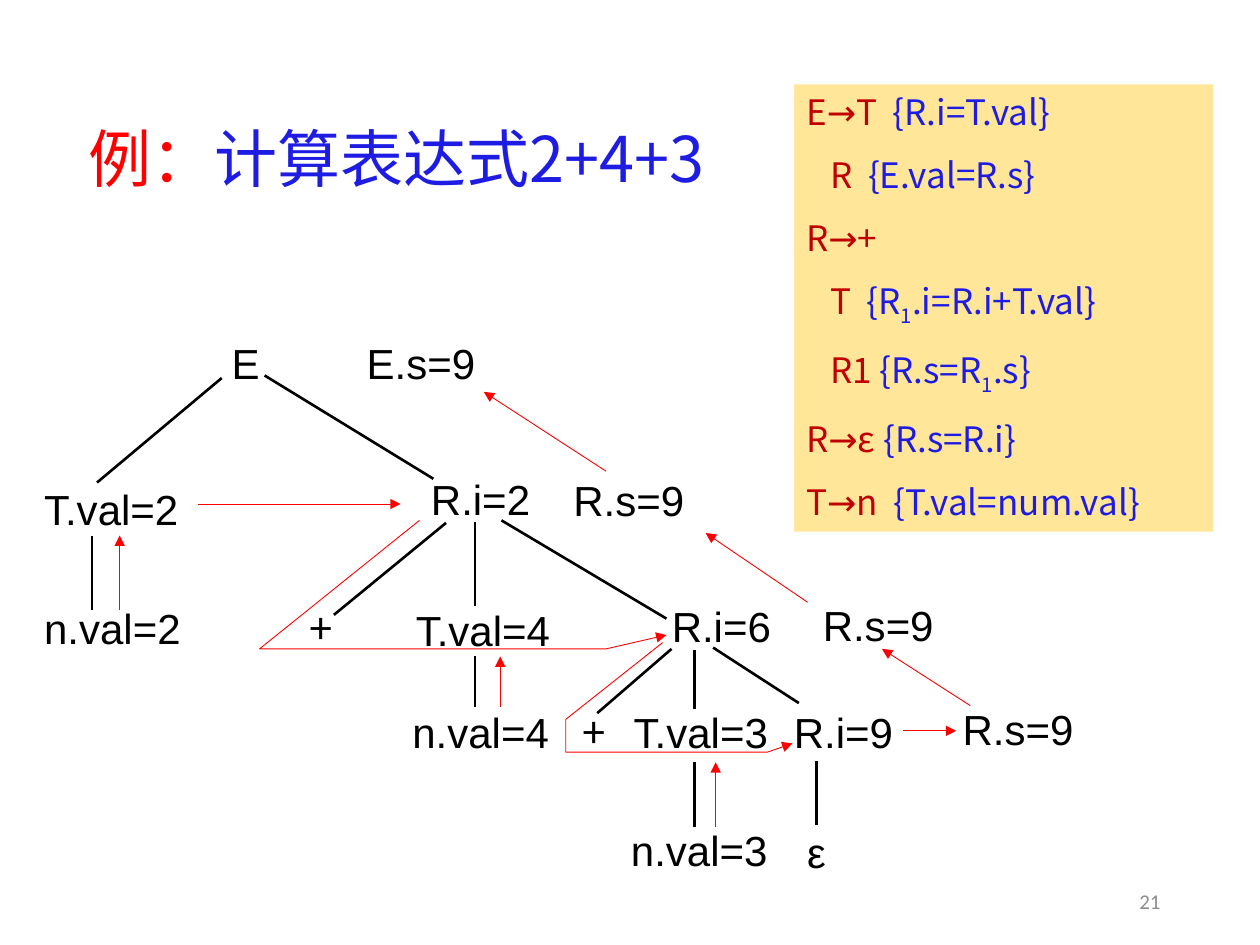
from dataclasses import dataclass

from pptx import Presentation
from pptx import util as u
from pptx.dml.color import RGBColor
from pptx.enum import shapes, text
from pptx.oxml.ns import qn
from lxml import etree

PX = 9144  # EMU in one px, 100 px to the inch


@dataclass(frozen=True)
class Theme:
    black: str = "000000"
    red: str = "FF0000"
    blue: str = "1E1CE3"
    dark_red: str = "C00000"
    sand: str = "FFE699"
    grey: str = "8C8C8C"
    title: int = 36
    node: int = 24
    rule: int = 20
    number: int = 12
    latin: str = "Arial"
    cjk: str = "Noto Sans CJK SC"
    heading: str = "Noto Sans CJK JP"
    arrow: str = "Comic Neue"
    footer: str = "Calibri"


T = Theme()
A = text.PP_ALIGN

# label, box, centred; relative to the tree's corner
NODES = [
    ("E", (109, 0, 106, 57), True), ("E.s=9", (256, 0, 109, 44), False),
    ("T.val=2", (0, 116, 112, 43), False), ("R.i=2", (307, 108, 89, 42), False),
    ("R.s=9", (420, 109, 109, 44), False), ("n.val=2", (0, 210, 125, 40), False),
    ("+", (197, 210, 50, 43), True), ("T.val=4", (295, 212, 116, 45), False),
    ("R.i=6", (489, 209, 101, 41), True), ("R.s=9", (618, 208, 109, 44), False),
    ("n.val=4", (285, 293, 127, 37), True), ("+", (414, 293, 49, 48), True),
    ("T.val=3", (468, 293, 120, 45), False), ("R.i=9", (595, 293, 88, 44), False),
    ("R.s=9", (729, 290, 109, 44), False), ("n.val=3", (462, 386, 120, 35), True),
    ("ε", (593, 388, 44, 33), True),
]
BRANCHES = [
    (143, 33, 44, 116), (177, 31, 311, 113), (40, 158, 40, 217),
    (321, 148, 232, 221), (344, 147, 344, 214), (365, 146, 496, 224),
    (344, 254, 344, 294), (500, 248, 441, 299), (518, 249, 518, 296),
    (533, 247, 601, 291), (518, 338, 518, 389), (615, 337, 615, 388),
]
FLOWS = [
    (62, 217, 62, 158), (124, 133, 285, 133), (364, 294, 364, 254),
    (535, 389, 535, 338), (684, 313, 726, 313), (737, 293, 667, 248),
    (608, 211, 527, 156), (448, 107, 351, 44),
]
DETOURS = [
    [(300, 146), (173, 248), (448, 248), (496, 237)],
    [(493, 243), (416, 304), (416, 330), (576, 330), (596, 323)],
]
# indented?, production, action ("_" puts the next character below the line)
RULES = [
    (False, "E→T", "  {R.i=T.val}"), (True, "R", "  {E.val=R.s}"),
    (False, "R→+", ""), (True, "T", "  {R_1.i=R.i+T.val}"),
    (True, "R1", " {R.s=R_1.s}"), (False, "R→ε", " {R.s=R.i}"),
    (False, "T→n", "  {T.val=num.val}"),
]


def px(*values):
    return [v * PX for v in values]


def add_run(p, words, size, font, color, base=0):
    r = p.add_run()
    r.text = words
    r.font.size, r.font.name = u.Pt(size), font
    r.font.color.rgb = RGBColor.from_string(color)
    rPr = r.font._element
    etree.SubElement(rPr, qn("a:ea")).set("typeface", font)
    if base:
        rPr.set("baseline", str(base * 1000))


def format_frame(tf, inset=None, **values):
    values = {"word_wrap": True, "auto_size": text.MSO_AUTO_SIZE.NONE, **values}
    if inset:
        x, y = px(*inset)
        values.update(margin_left=x, margin_right=x, margin_top=y, margin_bottom=y)
    for name, value in values.items():
        setattr(tf, name, value)
    return tf


def add_label(s, box, words, size, font, color, align, **frame):
    tf = format_frame(s.shapes.add_textbox(*px(*box)).text_frame, **frame)
    p = tf.paragraphs[0]
    p.alignment = align
    add_run(p, words, size, font, color)


def style_line(sp, color, width, arrow=False):
    sp.line.color.rgb = RGBColor.from_string(color)
    sp.line.width = u.Pt(width)
    if arrow:
        ln = sp.line._get_or_add_ln()
        etree.SubElement(ln, qn("a:tailEnd")).set("type", "triangle")


def add_line(s, ends, color, width, arrow=False):
    sp = s.shapes.add_connector(shapes.MSO_CONNECTOR.STRAIGHT, *px(*ends))
    style_line(sp, color, width, arrow)
    etree.SubElement(sp._element.spPr, qn("a:effectLst"))


def add_title(s, box):
    sp = s.shapes.title
    sp.left, sp.top, sp.width, sp.height = px(*box)
    tf = format_frame(sp.text_frame, vertical_anchor=text.MSO_ANCHOR.MIDDLE)
    p = tf.paragraphs[0]
    p.alignment, p.line_spacing = A.CENTER, 0.9
    add_run(p, "例：", T.title, T.heading, T.red)
    add_run(p, "计算表达式2+4+3", T.title, T.heading, T.blue)


def add_tree(s, x, y):
    """Draw the annotated parse tree with its top left corner at x, y."""
    for words, (left, top, w, h), centred in NODES:
        add_label(s, (x + left, y + top, w, h), words, T.node,
                  T.cjk if words == "+" else T.latin, T.black,
                  A.CENTER if centred else A.LEFT, inset=(2, 1))
    for lines, style in ((BRANCHES, (T.black, 1.5)), (FLOWS, (T.red, 0.5, True))):
        for x1, y1, x2, y2 in lines:
            add_line(s, (x + x1, y + y1, x + x2, y + y2), *style)
    for points in DETOURS:
        start, *rest = [(x + a, y + b) for a, b in points]
        fb = s.shapes.build_freeform(*start, scale=PX)
        fb.add_line_segments(rest, close=False)
        sp = fb.convert_to_shape()
        sp.shadow.inherit = False
        sp.fill.background()
        style_line(sp, T.red, 0.5, True)


def add_rules(s, box):
    """Draw the panel of productions (red) and their actions (blue)."""
    sp = s.shapes.add_shape(shapes.MSO_SHAPE.RECTANGLE, *px(*box))
    sp.shadow.inherit = False
    sp.fill.solid()
    sp.fill.fore_color.rgb = RGBColor.from_string(T.sand)
    sp.line.fill.background()
    tf = format_frame(sp.text_frame, vertical_anchor=text.MSO_ANCHOR.TOP)
    for i, (indented, production, action) in enumerate(RULES):
        p = tf.add_paragraph() if i else tf.paragraphs[0]
        p.alignment = A.LEFT
        p.space_before = p.space_after = u.Pt(6)
        pPr = p._p.get_or_add_pPr()
        pPr.set("marL", str(25 * PX))
        pPr.set("indent", str((-6 if indented else -25) * PX))
        left, arrow, right = production.partition("→")
        for words, font in ((left, T.cjk), (arrow, T.arrow), (right, T.cjk)):
            if words:
                add_run(p, words, T.rule, font, T.dark_red)
        head, _, tail = action.partition("_")
        for words, base in ((head, 0), (tail[:1], -25), (tail[1:], 0)):
            if words:
                add_run(p, words, T.rule, T.cjk, T.blue, base)


def main():
    prs = Presentation()
    prs.slide_width, prs.slide_height = px(1000, 750)
    s = prs.slides.add_slide(prs.slide_layouts[5])
    add_title(s, (37, 88, 556, 82))
    add_label(s, (885, 696, 46, 39), "21", T.number, T.footer, T.grey, A.RIGHT,
              vertical_anchor=text.MSO_ANCHOR.MIDDLE)
    add_tree(s, 33, 267)
    add_rules(s, (630, 67, 333, 355))
    prs.save("out.pptx")


if __name__ == "__main__":
    main()
